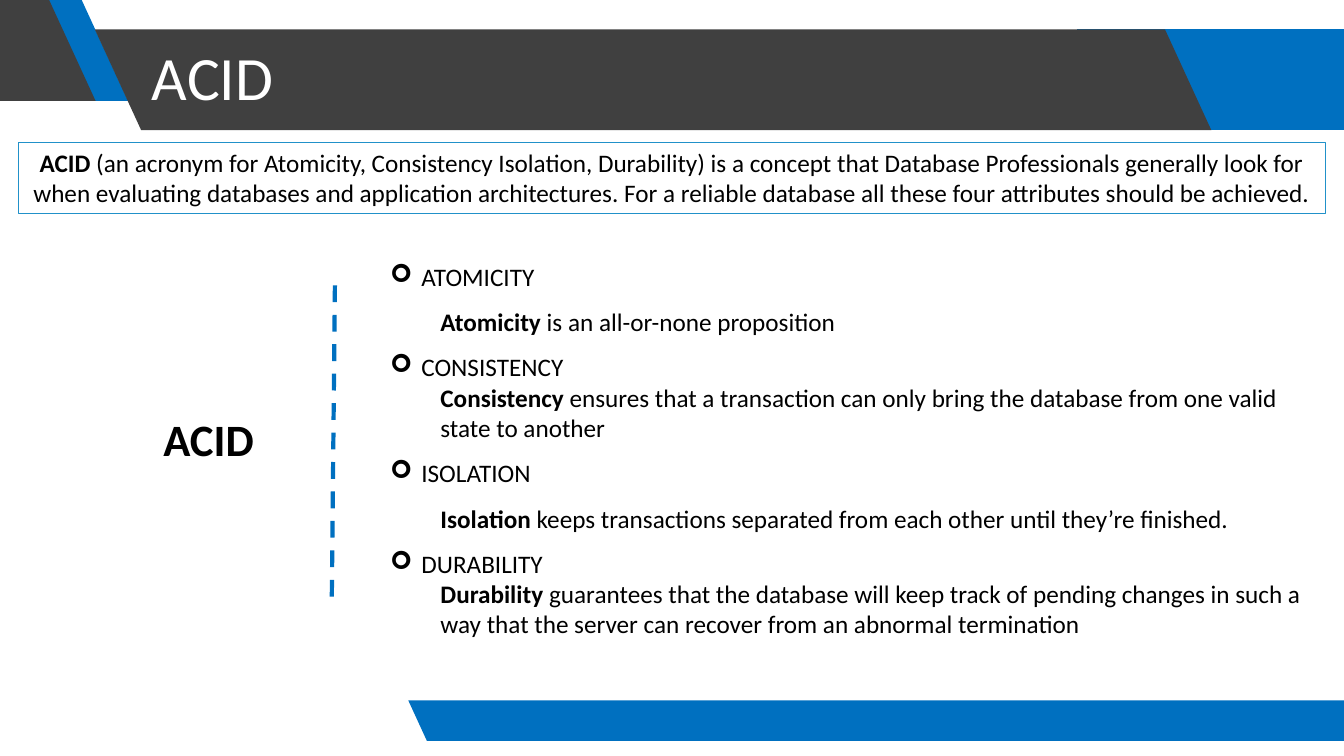
from lxml import etree
from pptx import Presentation
from pptx.dml.color import RGBColor
from pptx.enum.dml import MSO_LINE
from pptx.enum.shapes import MSO_CONNECTOR, MSO_SHAPE
from pptx.enum.text import MSO_ANCHOR, PP_ALIGN
from pptx.oxml.ns import qn
from pptx.util import Cm, Pt

WIDTH, HEIGHT = 33.87, 19.05
BLUE, DARK, WHITE, BLACK, BORDER = "0070C0", "404040", "FFFFFF", "000000", "2191C9"
SLANT = 0.46

PROPERTIES = [
    ("ATOMICITY", "Atomicity", " is an all-or-none proposition", 1.5),
    ("CONSISTENCY", "Consistency",
     " ensures that a transaction can only bring the database from one valid state to another", 1),
    ("ISOLATION", "Isolation",
     " keeps transactions separated from each other until they’re finished.", 1.5),
    ("DURABILITY", "Durability",
     " guarantees that the database will keep track of pending changes in such a way that "
     "the server can recover from an abnormal termination", 1),
]


def color(hex_value):
    return RGBColor.from_string(hex_value)


def add_run(paragraph, text, size, hex_value=BLACK, bold=False):
    run = paragraph.add_run()
    run.text = text
    run.font.name = "Calibri"
    run.font.size = Pt(size)
    run.font.bold = bold
    run.font.color.rgb = color(hex_value)


def add_text_frame(slide, left, top, width, height):
    frame = slide.shapes.add_textbox(Cm(left), Cm(top), Cm(width), Cm(height)).text_frame
    frame.word_wrap = True
    return frame


def add_band(slide, left, top, width, height, fill, slant_left=True, slant_right=True):
    shift = SLANT * height
    right, bottom = left + width, top + height
    corners = [
        (right, top),
        (right + shift * slant_right, bottom),
        (left + shift * slant_left, bottom),
    ]
    builder = slide.shapes.build_freeform(Cm(left), Cm(top))
    builder.add_line_segments([(Cm(x), Cm(y)) for x, y in corners])
    band = builder.convert_to_shape()
    band.shadow.inherit = False
    band.fill.solid()
    band.fill.fore_color.rgb = color(fill)
    band.line.fill.background()


def add_header(slide, top, height):
    add_band(slide, 27.13, top, WIDTH - 27.13, height, BLUE, False, False)
    add_band(slide, 0.86, 0, 1.2, height, BLUE)
    add_band(slide, 0, 0, 1.24, height, DARK, slant_left=False)
    add_band(slide, 2.39, top, 26.97, height, DARK)
    title = add_text_frame(slide, 3.58, top - 0.56, 25.76, height + 1.14)
    title.vertical_anchor = MSO_ANCHOR.MIDDLE
    title.paragraphs[0].line_spacing = 0.9
    add_run(title.paragraphs[0], "ACID", 44, WHITE)


def add_definition(slide, left, top, width, height):
    definition = slide.shapes.add_shape(
        MSO_SHAPE.RECTANGLE, Cm(left), Cm(top), Cm(width), Cm(height))
    definition.shadow.inherit = False
    definition.fill.background()
    definition.line.color.rgb = color(BORDER)
    definition.line.width = Pt(0.75)
    definition.text_frame.word_wrap = True
    definition.text_frame.vertical_anchor = MSO_ANCHOR.TOP
    sentence = definition.text_frame.paragraphs[0]
    sentence.alignment = PP_ALIGN.CENTER
    add_run(sentence, "ACID", 18, bold=True)
    add_run(sentence, " (an acronym for Atomicity, Consistency Isolation, Durability) is a concept "
            "that Database Professionals generally look for when evaluating databases and "
            "application architectures. For a reliable database all these four attributes "
            "should be achieved.", 18)


def add_acronym(slide, left, top, width, height):
    acronym = add_text_frame(slide, left, top, width, height).paragraphs[0]
    acronym.alignment = PP_ALIGN.CENTER
    add_run(acronym, "ACID", 32, bold=True)


def add_divider(slide, left, top, width, height):
    divider = slide.shapes.add_connector(
        MSO_CONNECTOR.STRAIGHT, Cm(left + width), Cm(top), Cm(left), Cm(top + height))
    divider.line.color.rgb = color(BLUE)
    divider.line.width = Pt(3)
    divider.line.dash_style = MSO_LINE.DASH
    etree.SubElement(divider._element.spPr, qn("a:effectLst"))


def set_indent(paragraph, margin, first_line, bullet=None):
    properties = paragraph._p.get_or_add_pPr()
    properties.set("marL", str(Cm(margin)))
    properties.set("indent", str(Cm(first_line)))
    if bullet:
        etree.SubElement(properties, qn("a:buFont")).set("typeface", "Wingdings")
        etree.SubElement(properties, qn("a:buChar")).set("char", bullet)


def add_properties(slide, left, top, width, height):
    frame = add_text_frame(slide, left, top, width, height)
    for index, (heading, term, meaning, spacing) in enumerate(PROPERTIES):
        item = frame.add_paragraph() if index else frame.paragraphs[0]
        set_indent(item, 0.79, -0.79, "➢")
        item.line_spacing = 1.5
        add_run(item, heading, 18)
        detail = frame.add_paragraph()
        detail.level = 1
        set_indent(detail, 1.27, 0)
        detail.line_spacing = spacing
        add_run(detail, term, 18, bold=True)
        add_run(detail, meaning, 18)


def main():
    presentation = Presentation()
    presentation.slide_width = Cm(WIDTH)
    presentation.slide_height = Cm(HEIGHT)
    slide = presentation.slides.add_slide(presentation.slide_layouts[6])
    add_header(slide, 0.74, 2.54)
    add_band(slide, 10.29, 17.65, WIDTH - 10.29, 1.02, BLUE, slant_right=False)
    add_divider(slide, 8.36, 7.19, 0.08, 8.03)
    add_acronym(slide, 1.5, 10.26, 7.52, 1.63)
    add_definition(slide, 0.46, 3.58, 32.94, 1.8)
    add_properties(slide, 9.58, 6.07, 23.83, 10.26)
    presentation.save("out.pptx")


if __name__ == "__main__":
    main()
